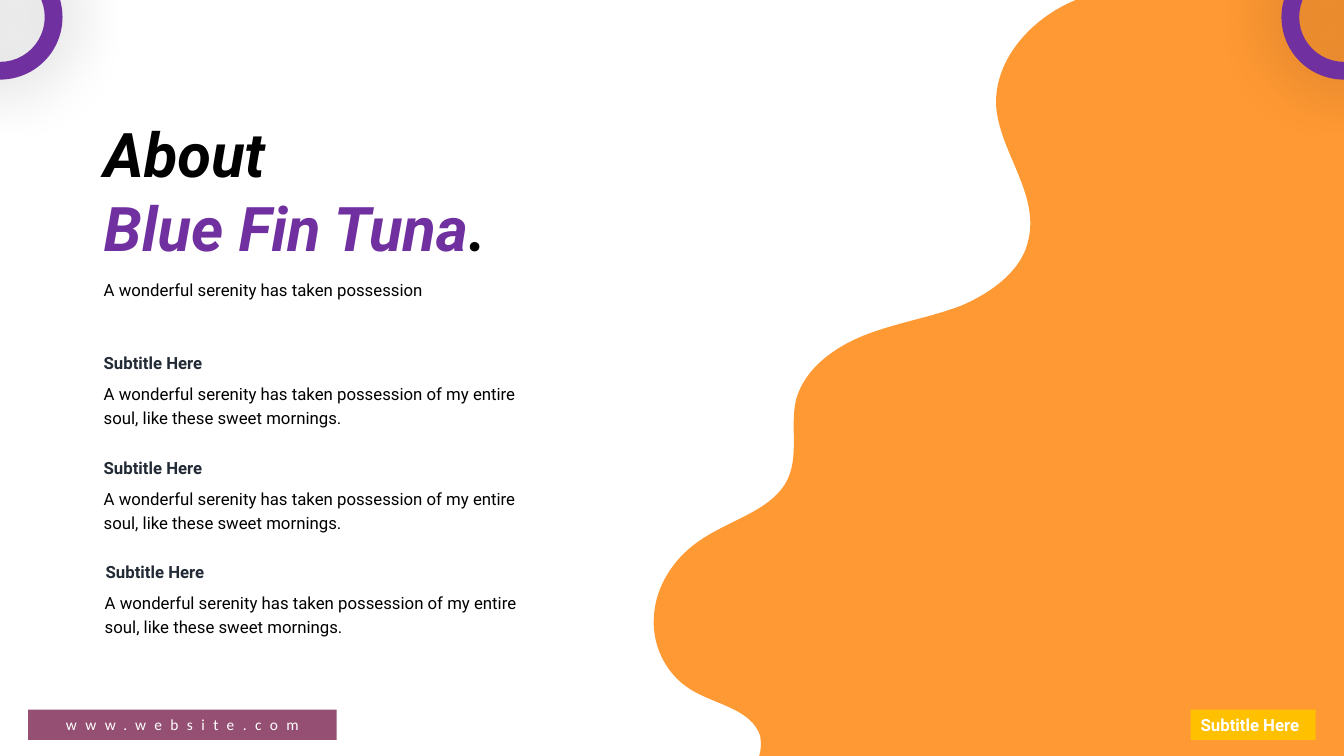
from dataclasses import dataclass

from lxml.etree import SubElement
from pptx import Presentation
from pptx.dml.color import RGBColor
from pptx.enum.shapes import MSO_SHAPE as Preset
from pptx.enum.text import MSO_ANCHOR as Anchor, MSO_AUTO_SIZE as AutoSize, PP_ALIGN as Align
from pptx.oxml.ns import qn
from pptx.shapes.autoshape import Shape
from pptx.slide import Slide
from pptx.util import Inches, Pt


@dataclass(frozen=True)
class Theme:
    font: str = "Roboto"
    footer_font: str = "Calibri"
    title_size: int = 44
    body_size: int = 12
    footer_size: int = 11
    black: str = "000000"
    white: str = "FFFFFF"
    purple: str = "7030A0"
    heading: str = "222A35"
    orange: str = "FF9933"
    amber: str = "FFC000"
    plum: str = "954F72"


THEME = Theme()


@dataclass(frozen=True)
class Span:
    text: str
    color: str = THEME.black
    size: int = THEME.body_size
    font: str = THEME.font
    bold: bool = False
    italic: bool = False
    tracking: int = 0


@dataclass(frozen=True)
class Area:
    left: float
    top: float
    width: float
    height: float

    def lengths(self) -> tuple[int, ...]:
        return tuple(Inches(v) for v in (self.left, self.top, self.width, self.height))


@dataclass(frozen=True)
class Topic:
    left: float
    top: float


Point = tuple[float, float]
Bend = tuple[Point, Point, Point]

TOPICS = [Topic(0.93, 3.39), Topic(0.93, 4.43), Topic(0.95, 5.46)]
SUBTITLE = "Subtitle Here"
INTRO = "A wonderful serenity has taken possession"
TOPIC_TEXT = f"{INTRO} of my entire soul, like these sweet mornings."

RING_SIZE = 1.24
RING_LEFTS = [-0.62, 12.71]

WAVE_START: Point = (7.53, 7.5)
WAVE_BENDS: list[Bend] = [
    ((7.55, 7.44), (7.55, 7.37), (7.54, 7.3)),
    ((7.45, 7.03), (7.09, 6.99), (6.85, 6.84)),
    ((6.59, 6.68), (6.45, 6.37), (6.49, 6.07)),
    ((6.52, 5.78), (6.71, 5.51), (6.96, 5.35)),
    ((7.26, 5.15), (7.66, 5.06), (7.81, 4.76)),
    ((7.93, 4.51), (7.83, 4.21), (7.9, 3.95)),
    ((7.99, 3.65), (8.28, 3.44), (8.59, 3.32)),
    ((8.9, 3.2), (9.23, 3.15), (9.54, 3.03)),
    ((9.84, 2.9), (10.14, 2.68), (10.2, 2.38)),
    ((10.31, 1.92), (9.91, 1.5), (9.88, 1.05)),
    ((9.86, 0.59), (10.23, 0.18), (10.67, 0)),
    ((10.89, -0.08), (11.13, -0.12), (11.37, -0.12)),
    ((11.61, -0.12), (11.86, -0.09), (12.09, -0.03)),
]
WAVE_CORNERS: list[Point] = [(12.24, 0), (13.33, 0), (13.33, 7.5)]


def paint(shape: Shape, color: str) -> None:
    shape.shadow.inherit = False
    shape.fill.solid()
    shape.fill.fore_color.rgb = RGBColor.from_string(color)
    shape.line.fill.background()


def write(shape: Shape, lines: list[list[Span]], spacing: float | None = None,
          align: Align = Align.LEFT, anchor: Anchor = Anchor.TOP,
          wrap: bool = True, grow: bool = True) -> None:
    frame = shape.text_frame
    frame.word_wrap = wrap
    frame.vertical_anchor = anchor
    frame.auto_size = AutoSize.SHAPE_TO_FIT_TEXT if grow else AutoSize.NONE
    for index, spans in enumerate(lines):
        para = frame.add_paragraph() if index else frame.paragraphs[0]
        para.alignment = align
        if spacing:
            para.line_spacing = spacing
        for span in spans:
            run = para.add_run()
            run.text = span.text
            run.font.name = span.font
            run.font.size = Pt(span.size)
            run.font.bold = span.bold
            run.font.italic = span.italic
            run.font.color.rgb = RGBColor.from_string(span.color)
            if span.tracking:
                run._r.get_or_add_rPr().set("spc", str(span.tracking * 100))


def add_text(page: Slide, area: Area, lines: list[list[Span]],
             spacing: float | None = None) -> None:
    write(page.shapes.add_textbox(*area.lengths()), lines, spacing)


def add_panel(page: Slide, preset: Preset, area: Area, color: str) -> Shape:
    panel = page.shapes.add_shape(preset, *area.lengths())
    paint(panel, color)
    return panel


def curve_edges(shape: Shape, bends: list[Bend]) -> None:
    """Turn the first straight edges of a freeform into Bezier curves."""
    outline = next(shape._element.iter(qn("a:path")))
    for edge, bend in zip(outline.findall(qn("a:lnTo")), bends):
        curve = SubElement(outline, qn("a:cubicBezTo"))
        for x, y in bend:
            SubElement(curve, qn("a:pt"), x=str(Inches(x) - shape.left),
                       y=str(Inches(y) - shape.top))
        outline.replace(edge, curve)


def add_wave(page: Slide) -> None:
    corners = [bend[-1] for bend in WAVE_BENDS] + WAVE_CORNERS
    builder = page.shapes.build_freeform(*(Inches(v) for v in WAVE_START))
    builder.add_line_segments([(Inches(x), Inches(y)) for x, y in corners], close=True)
    wave = builder.convert_to_shape()
    curve_edges(wave, WAVE_BENDS)
    paint(wave, THEME.orange)


def add_ring(page: Slide, left: float) -> None:
    ring = add_panel(page, Preset.DONUT, Area(left, -0.45, RING_SIZE, RING_SIZE), THEME.purple)
    ring.adjustments[0] = 0.142
    effects = ring._element.spPr.find(qn("a:effectLst"))
    glow = SubElement(effects, qn("a:outerShdw"), blurRad=str(Pt(49)), dist="0", dir="0",
                      algn="ctr", rotWithShape="0")
    tint = SubElement(glow, qn("a:srgbClr"), val=THEME.black)
    SubElement(tint, qn("a:alpha"), val="33000")


def add_topic(page: Slide, topic: Topic) -> None:
    body_left = min(topic.left, 0.94)
    add_text(page, Area(body_left, topic.top + 0.33, 4.41, 0.56), [[Span(TOPIC_TEXT)]], 1.2)
    add_text(page, Area(topic.left, topic.top, 1.26, 0.34),
             [[Span(SUBTITLE, THEME.heading, bold=True)]], 1.3)


def add_title(page: Slide) -> None:
    def title_span(text: str, color: str = THEME.black) -> Span:
        return Span(text, color, THEME.title_size, bold=True, italic=True)

    add_text(page, Area(0.93, 1.1, 5.22, 1.58),
             [[title_span("About")],
              [title_span("Blue Fin Tuna", THEME.purple), title_span(".")]])
    add_text(page, Area(0.93, 2.63, 4.42, 0.37), [[Span(INTRO)]], 1.5)


def add_footer(page: Slide) -> None:
    badge = add_panel(page, Preset.RECTANGLE, Area(11.81, 7.04, 1.24, 0.3), THEME.amber)
    write(badge, [[Span(SUBTITLE, THEME.white, bold=True)]], wrap=False)
    banner = add_panel(page, Preset.ROUNDED_RECTANGLE, Area(0.28, 7.04, 3.06, 0.3), THEME.plum)
    banner.adjustments[0] = 0
    address = Span("www.website.com", THEME.white, THEME.footer_size, THEME.footer_font,
                   tracking=6)
    write(banner, [[address]], align=Align.CENTER, anchor=Anchor.MIDDLE, grow=False)


def main() -> None:
    deck = Presentation()
    deck.slide_width, deck.slide_height = Inches(13.33), Inches(7.5)
    page = deck.slides.add_slide(deck.slide_layouts[6])
    add_wave(page)
    add_title(page)
    for topic in TOPICS:
        add_topic(page, topic)
    add_footer(page)
    for left in RING_LEFTS:
        add_ring(page, left)
    deck.save("out.pptx")


if __name__ == "__main__":
    main()
